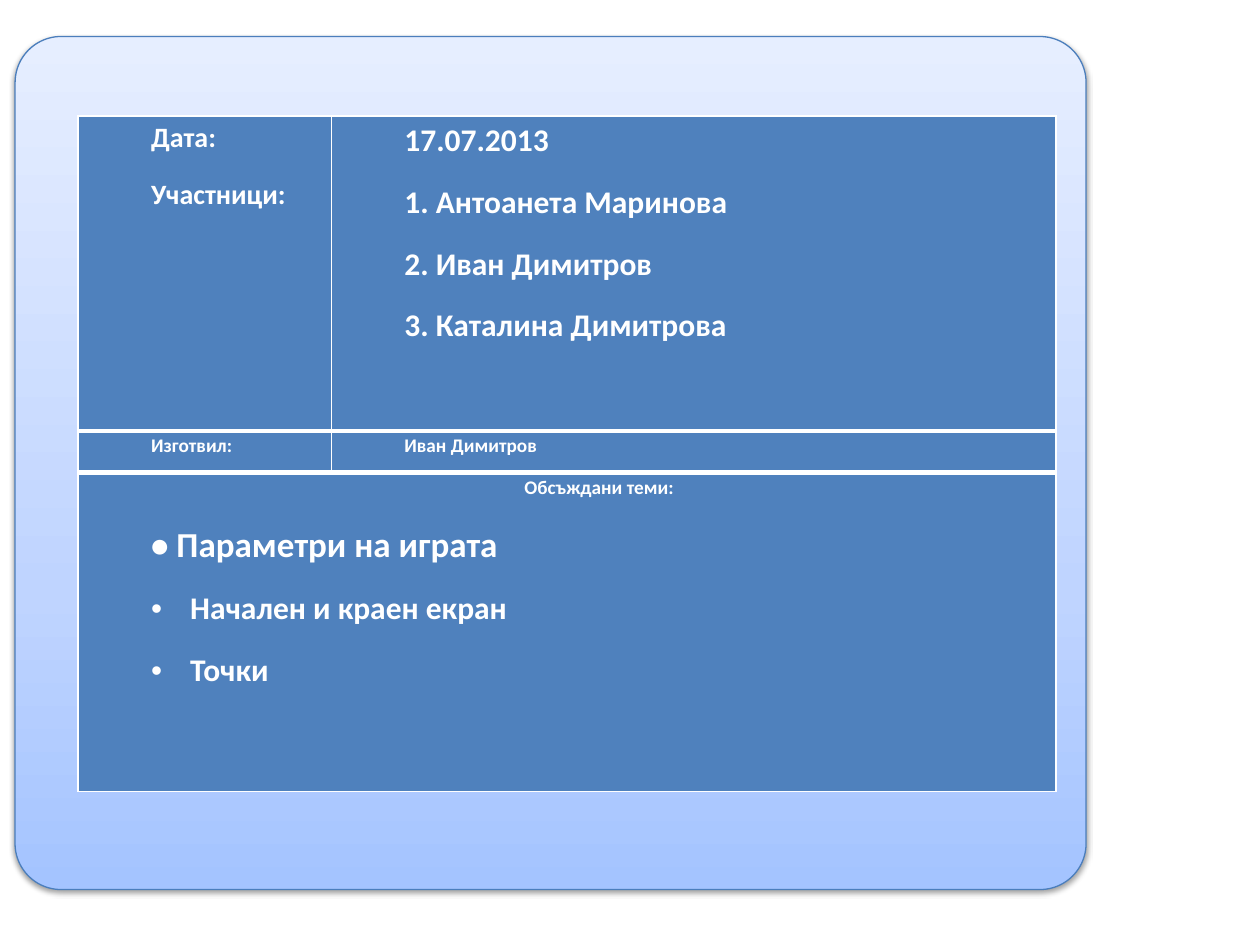
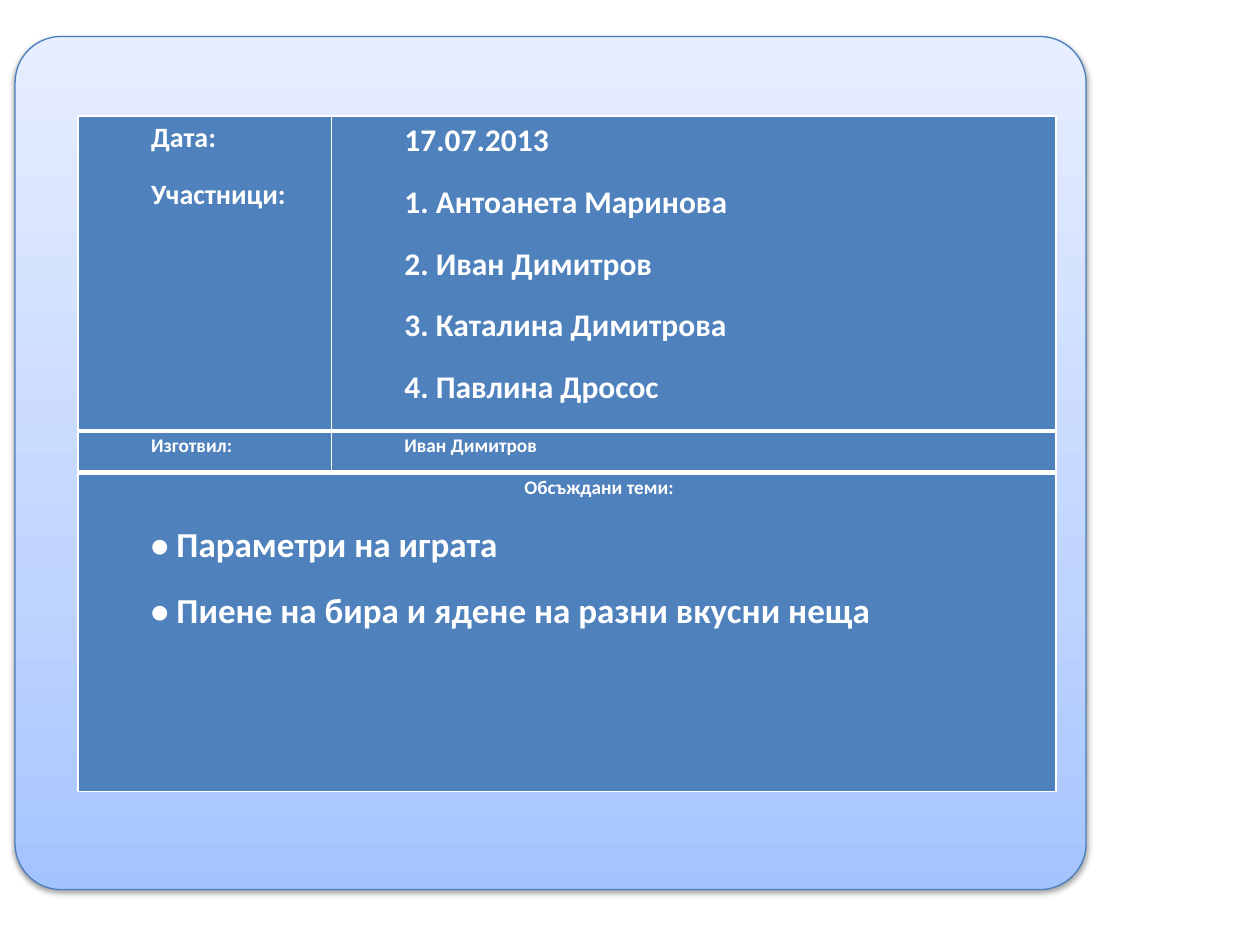
from lxml.etree import SubElement
from pptx import Presentation
from pptx.dml.color import RGBColor
from pptx.enum.shapes import MSO_SHAPE
from pptx.enum.text import PP_ALIGN
from pptx.oxml import parse_xml
from pptx.oxml.ns import nsdecls, qn
from pptx.util import Inches, Pt

WHITE = RGBColor(0xFF, 0xFF, 0xFF)
CELL_BLUE = RGBColor(0x4F, 0x81, 0xBD)
OUTLINE_BLUE = RGBColor(0x4B, 0x7E, 0xBC)
SHADOW_BLACK = RGBColor(0x00, 0x00, 0x00)
PANEL_GRADIENT = (
    (0, RGBColor(0xA4, 0xC4, 0xFF)),
    (35, RGBColor(0xBF, 0xD4, 0xFF)),
    (100, RGBColor(0xE6, 0xEE, 0xFF)),
)
FONT = "Calibri"
COLUMNS = (2.01, 5.75)
ROWS = (2.5, 0.33, 2.53)
TEXT_INDENT = 0.51
BULLET_GAP = 0.31
THIN, THICK = 1, 3

DATE = "17.07.2013"
AUTHOR = "Иван Димитров"
PARTICIPANTS = ["1. Антоанета Маринова", "2. Иван Димитров", "3. Каталина Димитрова"]
MAIN_TOPIC = "• Параметри на играта"


def add_panel(page):
    panel = page.shapes.add_shape(
        MSO_SHAPE.ROUNDED_RECTANGLE, Inches(0.12), Inches(0.29), Inches(8.5), Inches(6.77))
    panel.adjustments[0] = 0.054
    panel.line.color.rgb = OUTLINE_BLUE
    panel.line.width = Pt(0.75)
    panel.fill.gradient()
    panel.fill.gradient_angle = 90
    properties = panel.element.spPr
    stops = properties.find(f".//{qn('a:gsLst')}")
    for stop in list(stops):
        stops.remove(stop)
    for position, color in PANEL_GRADIENT:
        stop = SubElement(stops, qn("a:gs"), pos=str(position * 1000))
        SubElement(stop, qn("a:srgbClr"), val=str(color))
    panel.shadow.inherit = False
    shadow = SubElement(
        properties.find(qn("a:effectLst")), qn("a:outerShdw"),
        blurRad=str(Pt(3.1)), dist=str(Pt(1.6)), dir="5400000", rotWithShape="0")
    shade = SubElement(shadow, qn("a:srgbClr"), val=str(SHADOW_BLACK))
    SubElement(shade, qn("a:alpha"), val="38000")


def style_cell(cell, top, bottom):
    """Fill the cell and rule its edges in white; top and bottom are widths in points."""
    cell.fill.solid()
    cell.fill.fore_color.rgb = CELL_BLUE
    cell.margin_left = cell.margin_right = Inches(0.07)
    cell.margin_top = cell.margin_bottom = 0
    properties = cell._tc.get_or_add_tcPr()
    edges = (("lnL", THIN), ("lnR", THIN), ("lnT", top), ("lnB", bottom))
    for place, (edge, width) in enumerate(edges):
        properties.insert(place, parse_xml(
            f'<a:{edge} {nsdecls("a")} w="{Pt(width)}"><a:solidFill>'
            f'<a:srgbClr val="{WHITE}"/></a:solidFill></a:{edge}>'))


def write_line(cell, text, size, align=PP_ALIGN.JUSTIFY, bullet=False):
    frame = cell.text_frame
    para = frame.add_paragraph() if frame.text else frame.paragraphs[0]
    para.text = text
    para.alignment = align
    para.line_spacing = 1.15
    para.space_after = Pt(10)
    para.font.name = FONT
    para.font.size = Pt(size)
    para.font.bold = True
    para.font.color.rgb = WHITE
    gap = BULLET_GAP if bullet else 0
    properties = para._p.get_or_add_pPr()
    properties.set("marL", str(Inches(TEXT_INDENT + gap)))
    properties.set("indent", str(-Inches(gap)))
    if bullet:
        default_font = properties.find(qn("a:defRPr"))
        default_font.addprevious(parse_xml(f'<a:buFont {nsdecls("a")} typeface="Arial"/>'))
        default_font.addprevious(parse_xml(f'<a:buChar {nsdecls("a")} char="•"/>'))


def add_minutes_table(page):
    table = page.shapes.add_table(
        len(ROWS), len(COLUMNS), Inches(0.62), Inches(0.92),
        Inches(sum(COLUMNS)), Inches(sum(ROWS))).table
    table.first_row = table.horz_banding = False
    for column, width in zip(table.columns, COLUMNS):
        column.width = Inches(width)
    last = len(ROWS) - 1
    for index, (row, height) in enumerate(zip(table.rows, ROWS)):
        row.height = Inches(height)
        for cell in row.cells:
            style_cell(cell, THICK if index else THIN, THICK if index < last else THIN)
    table.cell(last, 0).merge(table.cell(last, 1))
    return table


def add_minutes_page(deck, participants, topics, bulleted_topics=()):
    page = deck.slides.add_slide(deck.slide_layouts[6])
    add_panel(page)
    table = add_minutes_table(page)
    for label in ("Дата:", "Участници:"):
        write_line(table.cell(0, 0), label, 16)
    for line in (DATE, *participants):
        write_line(table.cell(0, 1), line, 18)
    write_line(table.cell(1, 0), "Изготвил:", 11)
    write_line(table.cell(1, 1), AUTHOR, 11)
    topics_cell = table.cell(2, 0)
    write_line(topics_cell, "Обсъждани теми:", 11, PP_ALIGN.CENTER)
    for topic in topics:
        write_line(topics_cell, topic, 20, PP_ALIGN.LEFT)
    for topic in bulleted_topics:
        write_line(topics_cell, topic, 18, PP_ALIGN.LEFT, bullet=True)


def main():
    deck = Presentation()
    deck.slide_width, deck.slide_height = Inches(10), Inches(7.5)
    add_minutes_page(deck, PARTICIPANTS, [MAIN_TOPIC], ["Начален и краен екран", "Точки"])
    add_minutes_page(deck, PARTICIPANTS + ["4. Павлина Дросос"],
                     [MAIN_TOPIC, "• Пиене на бира и ядене на разни вкусни неща"])
    deck.save("out.pptx")


if __name__ == "__main__":
    main()
